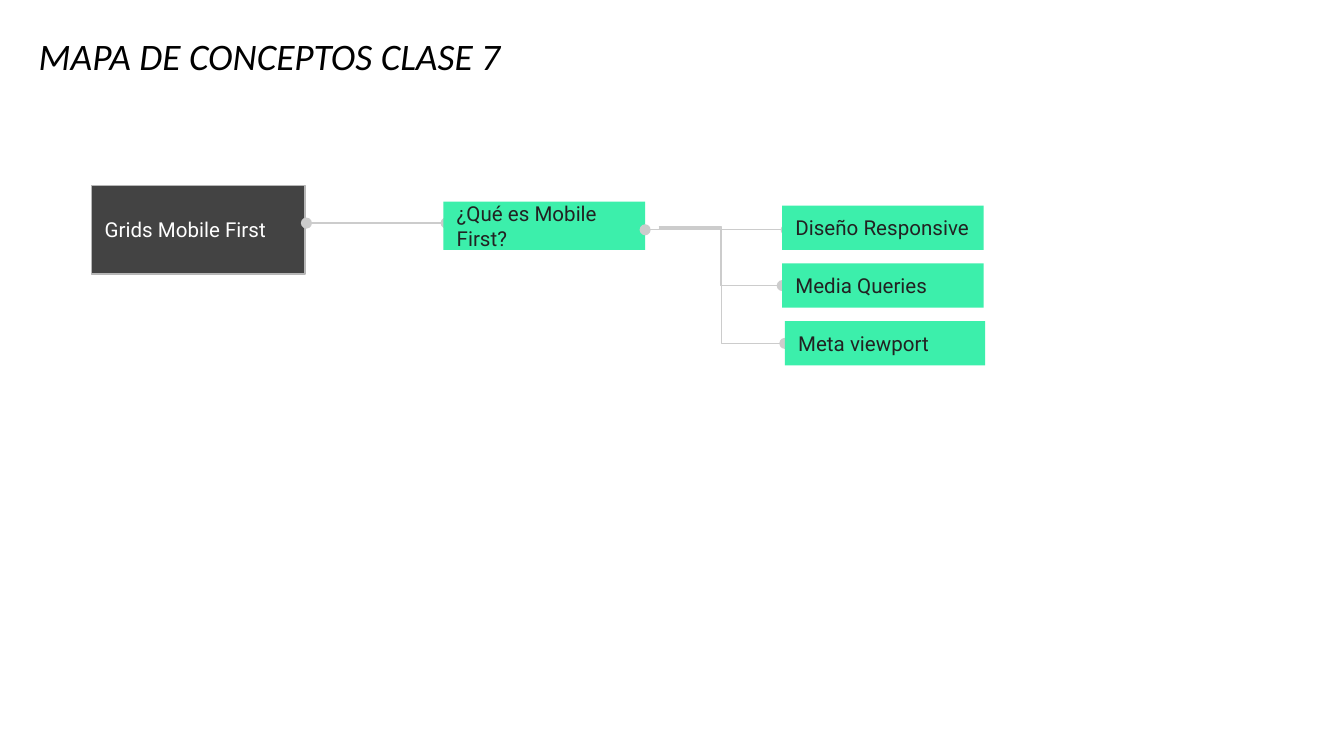
from dataclasses import dataclass

from lxml import etree
from pptx import Presentation
from pptx.dml.color import RGBColor
from pptx.enum.shapes import MSO_CONNECTOR, MSO_SHAPE
from pptx.enum.text import MSO_ANCHOR, PP_ALIGN
from pptx.oxml.ns import qn
from pptx.util import Inches, Pt

RECT = MSO_SHAPE.RECTANGLE
LINE = MSO_CONNECTOR.STRAIGHT
ELBOW = MSO_CONNECTOR.ELBOW
MIDDLE = MSO_ANCHOR.MIDDLE
BOTTOM = MSO_ANCHOR.BOTTOM
LEFT = PP_ALIGN.LEFT


@dataclass(frozen=True)
class Theme:
    black: str = "000000"
    white: str = "FFFFFF"
    ink: str = "222222"
    dark: str = "434343"
    edge: str = "B7B7B7"
    mint: str = "3CEFAB"
    link: str = "CCCCCC"
    head: str = "Calibri"
    body: str = "Roboto"
    big: int = 20
    small: int = 11
    width: float = 0.75
    inset: float = 0.1


@dataclass(frozen=True)
class Node:
    text: str
    left: float
    top: float
    width: float
    height: float
    fill: str
    ink: str
    edge: str | None = None


@dataclass(frozen=True)
class Link:
    x1: float
    y1: float
    x2: float
    y2: float
    kind: int = LINE
    ends: tuple[str, ...] = ("headEnd", "tailEnd")


THEME = Theme()
LEAF_TOP, LEAF_STEP, LEAF_HEIGHT = 1.53, 0.43, 0.33


def leaf(row: int, text: str, left: float, width: float) -> Node:
    top = LEAF_TOP + row * LEAF_STEP
    return Node(text, left, top, width, LEAF_HEIGHT, THEME.mint, THEME.ink)


def branch(row: int, top: float, right: float) -> Link:
    """Elbow from the topic to the middle of a lower leaf."""
    mid = LEAF_TOP + row * LEAF_STEP + LEAF_HEIGHT / 2
    return Link(4.9, top, right, mid, ELBOW, ("tailEnd",))


# Back to front: each box covers the dot of the link that reaches it.
PARTS = (
    Node("Grids Mobile First", 0.68, 1.38, 1.59, 0.66,
         THEME.dark, THEME.white, THEME.edge),
    Link(2.28, 1.66, 3.32, 1.66),
    Node("¿Qué es Mobile First?", 3.3, 1.5, 1.5, 0.36, THEME.mint, THEME.ink),
    Link(4.8, 1.71, 5.85, 1.71),
    leaf(0, "Diseño Responsive", 5.82, 1.5),
    branch(1, 1.7, 5.82),
    leaf(1, "Media Queries", 5.82, 1.5),
    branch(2, 1.69, 5.84),
    leaf(2, "Meta viewport", 5.84, 1.49),
)


def write(shape, text: str, anchor: int, style: dict, ink: str) -> None:
    frame = shape.text_frame
    pad = Inches(THEME.inset)
    layout = {"word_wrap": True, "vertical_anchor": anchor,
              "margin_left": pad, "margin_right": pad,
              "margin_top": pad, "margin_bottom": pad}
    for name, value in layout.items():
        setattr(frame, name, value)
    line = frame.paragraphs[0]
    line.alignment = LEFT
    run = line.add_run()
    run.text = text
    for name, value in style.items():
        setattr(run.font, name, value)
    run.font.color.rgb = RGBColor.from_string(ink)


def draw_title(slide, text: str) -> None:
    box = slide.shapes.add_textbox(
        Inches(0.19), Inches(0.22), Inches(8.26), Inches(0.46))
    style = {"name": THEME.head, "size": Pt(THEME.big), "italic": True}
    write(box, text, BOTTOM, style, THEME.black)


def draw_node(slide, node: Node) -> None:
    box = slide.shapes.add_shape(
        RECT, Inches(node.left), Inches(node.top),
        Inches(node.width), Inches(node.height))
    box.shadow.inherit = False
    box.fill.solid()
    box.fill.fore_color.rgb = RGBColor.from_string(node.fill)
    if node.edge:
        box.line.color.rgb = RGBColor.from_string(node.edge)
        box.line.width = Pt(THEME.width)
    else:
        box.line.fill.background()
    style = {"name": THEME.body, "size": Pt(THEME.small)}
    write(box, node.text, MIDDLE, style, node.ink)


def draw_link(slide, link: Link) -> None:
    wire = slide.shapes.add_connector(
        link.kind, Inches(link.x1), Inches(link.y1),
        Inches(link.x2), Inches(link.y2))
    wire.line.color.rgb = RGBColor.from_string(THEME.link)
    wire.line.width = Pt(THEME.width)
    props = wire.element.spPr
    for end in link.ends:
        etree.SubElement(props.find(qn("a:ln")), qn(f"a:{end}"), type="oval")
    etree.SubElement(props, qn("a:effectLst"))


def main() -> None:
    deck = Presentation()
    deck.slide_width = Inches(10)
    deck.slide_height = deck.slide_width * 9 // 16
    slide = deck.slides.add_slide(deck.slide_layouts[6])
    draw_title(slide, "MAPA DE CONCEPTOS CLASE 7")
    for part in PARTS:
        if isinstance(part, Node):
            draw_node(slide, part)
        else:
            draw_link(slide, part)
    deck.save("out.pptx")


if __name__ == "__main__":
    main()
